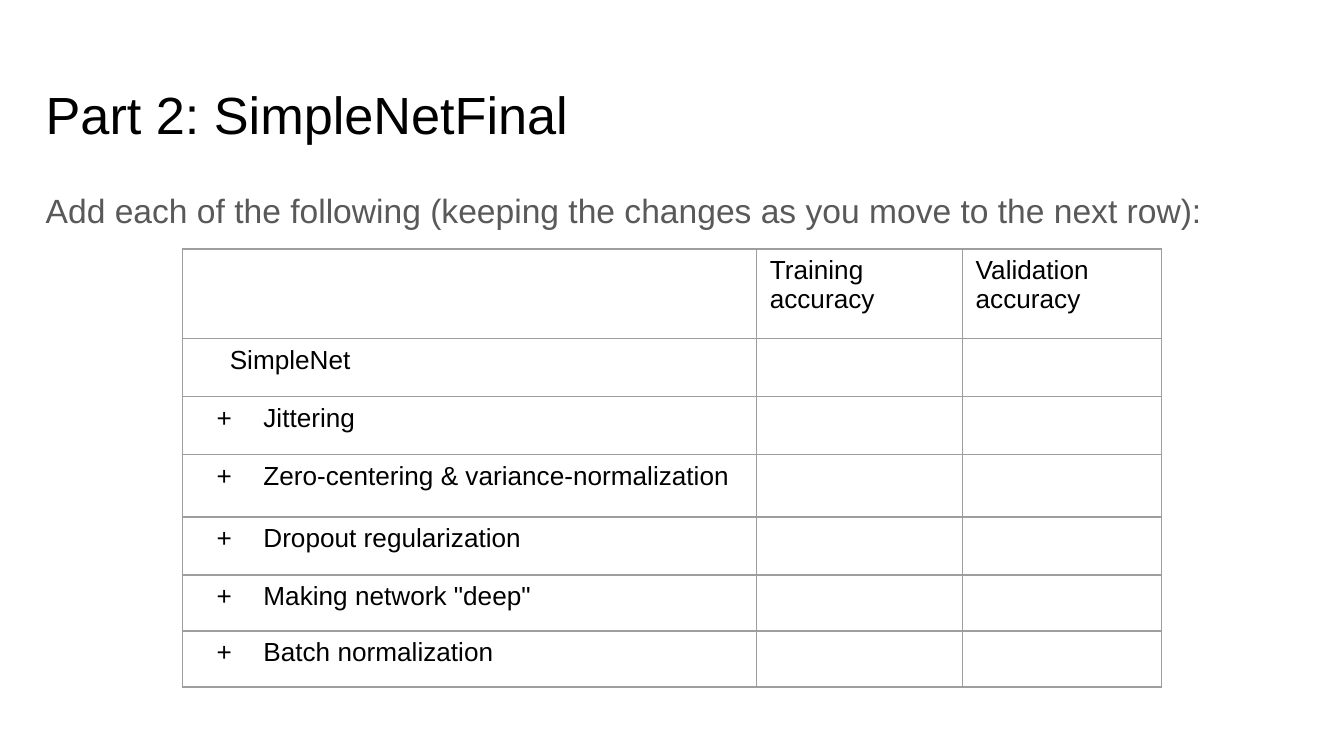
from dataclasses import dataclass

from lxml import etree
from pptx import Presentation
from pptx.dml.color import RGBColor
from pptx.enum.text import MSO_ANCHOR, MSO_AUTO_SIZE, PP_ALIGN
from pptx.oxml.ns import qn
from pptx.util import Pt

TOP = MSO_ANCHOR.TOP
LEFT = PP_ALIGN.LEFT
NO_FIT = MSO_AUTO_SIZE.NONE


@dataclass(frozen=True)
class Theme:
    font: str = "Arial"
    title_size: float = 28
    body_size: float = 18
    cell_size: float = 14
    ink: str = "000000"
    muted: str = "595959"
    border: str = "9E9E9E"
    border_width: float = 0.75


THEME = Theme()

COLUMNS = [307.3, 110.3, 106.8]
ROWS = [48, 31.1, 31.1, 33.4, 31.1, 30, 30]
HEADERS = ["Training accuracy", "Validation accuracy"]
BASELINE = "SimpleNet"
ADDITIONS = [
    "Jittering",
    "Zero-centering & variance-normalization",
    "Dropout regularization",
    'Making network "deep"',
    "Batch normalization",
]


def add_run(p, text, size, color):
    r = p.add_run()
    r.text = text
    r.font.name = THEME.font
    r.font.size = Pt(size)
    r.font.bold = False
    r.font.color.rgb = RGBColor.from_string(color)


def set_indent(p, left, first, bullet=None):
    pPr = p._p.get_or_add_pPr()
    pPr.set("marL", str(Pt(left)))
    pPr.set("indent", str(Pt(first)))
    if bullet:
        buClr = etree.SubElement(pPr, qn("a:buClr"))
        etree.SubElement(buClr, qn("a:srgbClr"), val=THEME.ink)
        etree.SubElement(pPr, qn("a:buFont"), typeface=THEME.font)
        etree.SubElement(pPr, qn("a:buChar"), char=bullet)
    else:
        etree.SubElement(pPr, qn("a:buNone"))


def fill_placeholder(sp, box, text, size, color, inset, spacing=1.0):
    sp.left, sp.top, sp.width, sp.height = (Pt(v) for v in box)
    tf = sp.text_frame
    tf.word_wrap = True
    tf.auto_size = NO_FIT
    tf.vertical_anchor = TOP
    tf.margin_left = tf.margin_right = 0
    tf.margin_top = tf.margin_bottom = Pt(inset)
    p = tf.paragraphs[0]
    p.alignment = LEFT
    p.line_spacing = spacing
    p.space_before = Pt(0)
    set_indent(p, 0, 0)
    add_run(p, text, size, color)


def style_cell(cell):
    cell.margin_left = cell.margin_right = Pt(7.2)
    cell.margin_top = cell.margin_bottom = Pt(3.6)
    cell.vertical_anchor = TOP
    tcPr = cell._tc.get_or_add_tcPr()
    for side in ("lnL", "lnR", "lnT", "lnB"):
        ln = etree.SubElement(tcPr, qn(f"a:{side}"), w=str(Pt(THEME.border_width)))
        fill = etree.SubElement(ln, qn("a:solidFill"))
        etree.SubElement(fill, qn("a:srgbClr"), val=THEME.border)
    cell.fill.background()


def write_cell(cell, text, left=0, first=0, bullet=None):
    p = cell.text_frame.paragraphs[0]
    set_indent(p, left, first, bullet)
    add_run(p, text, THEME.cell_size, THEME.ink)


def add_accuracy_table(slide, box):
    frame = slide.shapes.add_table(len(ROWS), len(COLUMNS), *(Pt(v) for v in box))
    table = frame.table
    table.first_row = table.horz_banding = False
    for column, width in zip(table.columns, COLUMNS):
        column.width = Pt(width)
    for row, height in zip(table.rows, ROWS):
        row.height = Pt(height)
    for cell in table.iter_cells():
        style_cell(cell)
    for i, text in enumerate(HEADERS, 1):
        write_cell(table.cell(0, i), text)
    write_cell(table.cell(1, 0), BASELINE, left=18)
    for i, text in enumerate(ADDITIONS, 2):
        write_cell(table.cell(i, 0), text, left=36, first=-25, bullet="+")


def build_slide(prs):
    slide = prs.slides.add_slide(prs.slide_layouts[1])
    title, body = slide.placeholders
    fill_placeholder(title, (24.5, 35.3, 671, 45.4), "Part 2: SimpleNetFinal",
                     THEME.title_size, THEME.ink, inset=9)
    fill_placeholder(body, (24.5, 90.7, 671, 35.3),
                     "Add each of the following (keeping the changes as you move to the next row):",
                     THEME.body_size, THEME.muted, inset=8, spacing=1.15)
    add_accuracy_table(slide, (97.9, 133.4, sum(COLUMNS), sum(ROWS)))


def main():
    prs = Presentation()
    prs.slide_width, prs.slide_height = Pt(720), Pt(405)
    build_slide(prs)
    prs.save("out.pptx")


if __name__ == "__main__":
    main()
